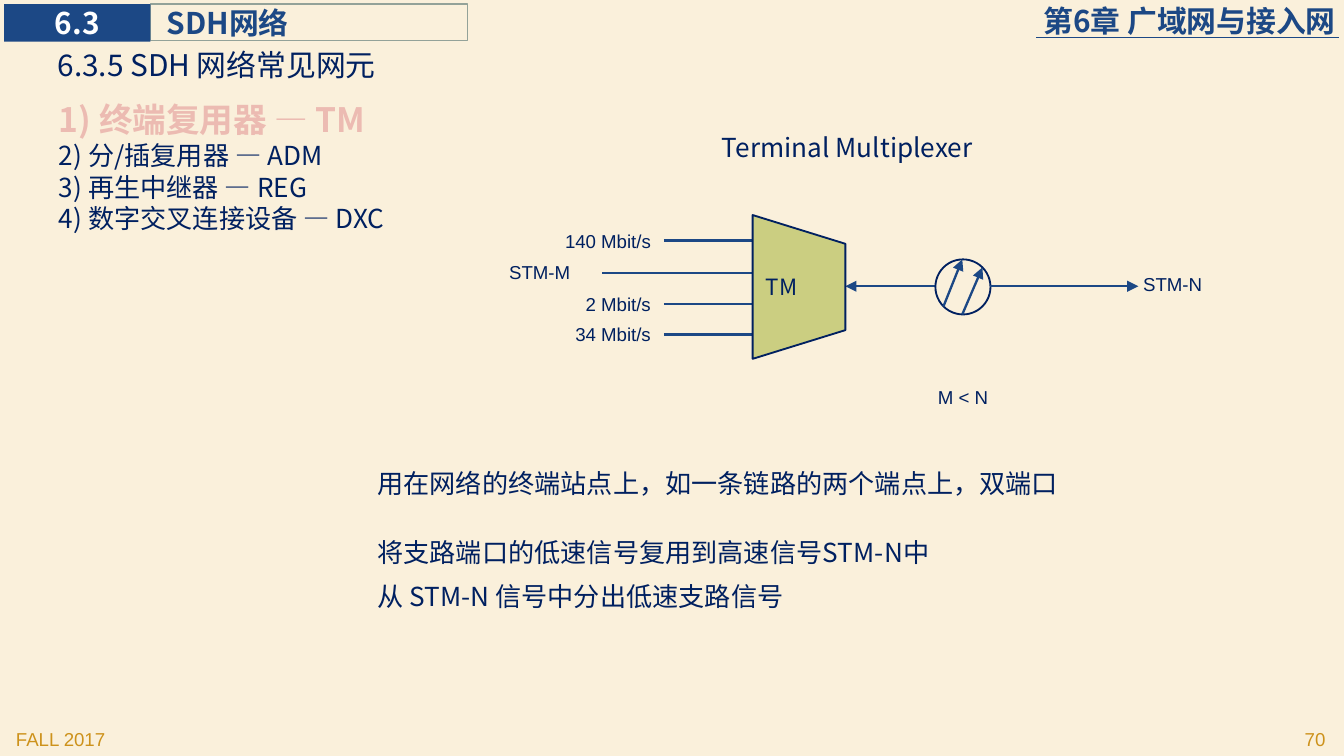
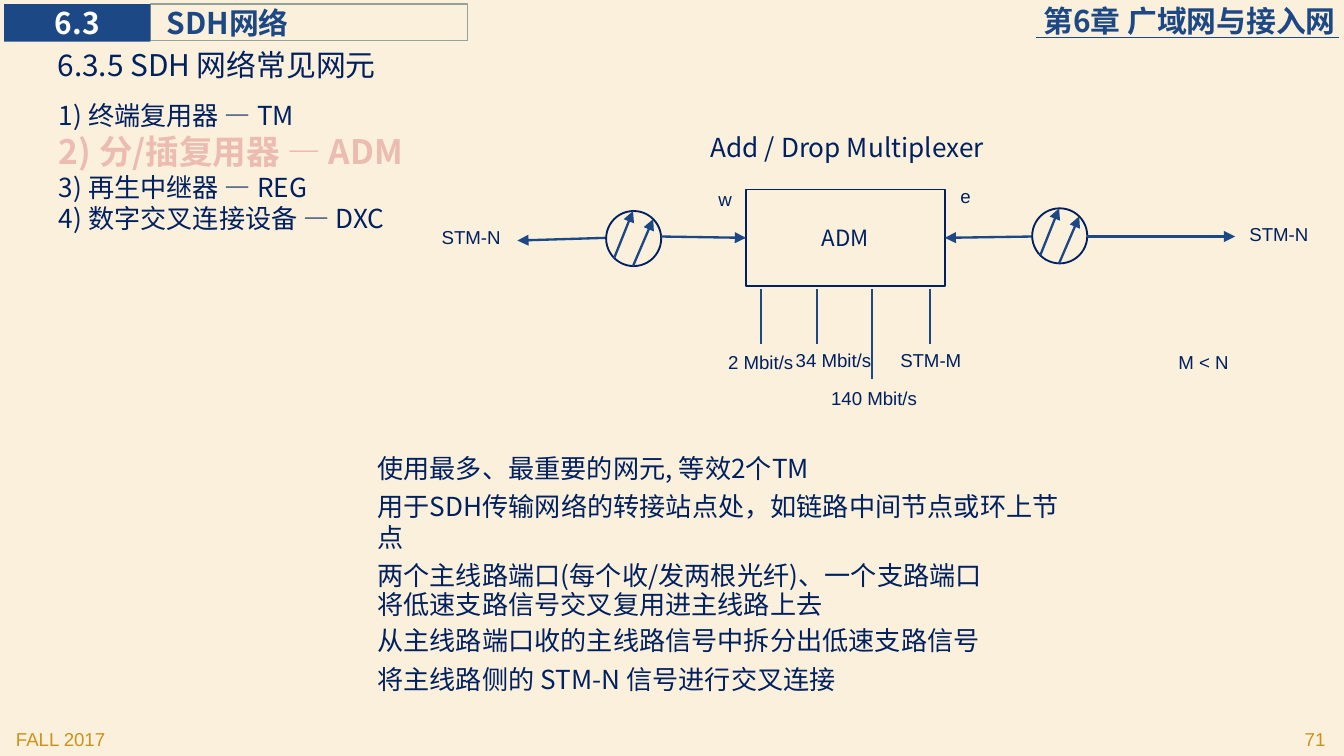
from lxml import etree
from pptx import Presentation
from pptx.dml.color import RGBColor
from pptx.enum import shapes, text
from pptx.oxml import ns
from pptx.util import Inches, Pt

BLUE = RGBColor(0x1C, 0x48, 0x85)
NAVY = RGBColor(0x00, 0x20, 0x60)
CREAM = RGBColor(0xFA, 0xF0, 0xDB)
GOLD = RGBColor(0xCD, 0x92, 0x1B)
GRAY = RGBColor(0x93, 0xA2, 0x99)
OLIVE = RGBColor(0xCB, 0xCE, 0x81)
PINK = RGBColor(0xEC, 0xBB, 0xB2)
RED = RGBColor(0xCF, 0x54, 0x3F)
WHITE = RGBColor(0xFF, 0xFF, 0xFF)
CJK, LATIN = "Noto Sans CJK SC", "Arial"
LEFT, CENTER, RIGHT = text.PP_ALIGN.LEFT, text.PP_ALIGN.CENTER, text.PP_ALIGN.RIGHT
SHAPE = shapes.MSO_SHAPE
LINE_HEIGHT = 1.2  # line pitch of the CJK font, in ems

# ---- Content ----
CHAPTER = "第6章 广域网与接入网"
SECTION = ("6.3", "SDH网络")
HEADING = "6.3.5 SDH 网络常见网元"
TERM = "FALL 2017"
ELEMENTS = ["1) 终端复用器 — TM", "2) 分/插复用器 — ADM",
            "3) 再生中继器 — REG", "4) 数字交叉连接设备 — DXC"]

# Notes: (top, width, wording); labels: (left, top, width, align, wording)
TM_SLIDE = {
    "page": "70", "current": 0, "caption": "Terminal Multiplexer",
    "notes": [(3.43, 5.45, "用在网络的终端站点上，如一条链路的两个端点上，双端口"),
              (3.94, 5.45, "将支路端口的低速信号复用到高速信号STM-N中"),
              (4.27, 5.45, "从 STM-N 信号中分出低速支路信号")],
    "labels": [(8.38, 1.98, 0.69, CENTER, "STM-N"),
               (3.67, 1.89, 0.69, CENTER, "STM-M"),
               (4.02, 1.66, 0.92, RIGHT, "140 Mbit/s"),
               (4.02, 2.13, 0.92, RIGHT, "2 Mbit/s"),
               (4.02, 2.35, 0.92, RIGHT, "34 Mbit/s"),
               (6.82, 2.82, 0.69, CENTER, "M < N")],
}
ADM_SLIDE = {
    "page": "71", "current": 1, "caption": "Add / Drop Multiplexer",
    "notes": [(3.32, 4.21, "使用最多、最重要的网元, 等效2个TM"),
              (3.6, 5.45, "用于SDH传输网络的转接站点处，如链路中间节点或环上节点"),
              (4.11, 5.45, "两个主线路端口(每个收/发两根光纤)、一个支路端口"),
              (4.33, 5.45, "将低速支路信号交叉复用进主线路上去"),
              (4.6, 5.45, "从主线路端口收的主线路信号中拆分出低速支路信号"),
              (4.89, 5.45, "将主线路侧的 STM-N 信号进行交叉连接")],
    "labels": [(9.17, 1.61, 0.69, CENTER, "STM-N"),
               (3.16, 1.63, 0.69, CENTER, "STM-N"),
               (5.24, 1.35, 0.31, CENTER, "w"),
               (7.03, 1.33, 0.31, CENTER, "e"),
               (6, 2.83, 0.92, RIGHT, "140 Mbit/s"),
               (5.08, 2.56, 0.92, RIGHT, "2 Mbit/s"),
               (5.66, 2.55, 0.92, RIGHT, "34 Mbit/s"),
               (6.58, 2.55, 0.69, CENTER, "STM-M"),
               (8.61, 2.56, 0.69, CENTER, "M < N")],
}
TM_TRIBUTARIES = [(4.94, 1.79), (4.48, 2.03), (4.94, 2.26), (4.94, 2.49)]
ADM_TRIBUTARIES = [(5.66, 2.56), (6.08, 2.56), (6.49, 2.82), (6.92, 2.56)]


# ---- Drawing helpers ----
def outline_run(run, color, width):
    """Give the letters of a run an outline."""
    ln = etree.Element(ns.qn("a:ln"), w=str(Pt(width)))
    fill = etree.SubElement(ln, ns.qn("a:solidFill"))
    etree.SubElement(fill, ns.qn("a:srgbClr"), val=str(color))
    run.font._element.insert(0, ln)


def write(paragraph, wording, size, color=NAVY, font=CJK, bold=False, align=LEFT):
    paragraph.alignment = align
    if font == CJK:
        paragraph.line_spacing = Pt(size * LINE_HEIGHT)
    run = paragraph.add_run()
    run.text = wording
    for key, value in {"size": Pt(size), "name": font, "bold": bold}.items():
        setattr(run.font, key, value)
    run.font.color.rgb = color
    if font == CJK:
        etree.SubElement(run.font._element, ns.qn("a:ea"), typeface=font)
    return run


def set_frame(frame, insets=None, anchor=text.MSO_ANCHOR.TOP):
    frame.word_wrap = True
    frame.vertical_anchor = anchor
    for side, inset in zip(("left", "top", "right", "bottom"), insets or ()):
        setattr(frame, f"margin_{side}", Inches(inset))


def add_text(slide, box, wording, size, insets=None, anchor=text.MSO_ANCHOR.TOP, **style):
    frame = slide.shapes.add_textbox(*map(Inches, box)).text_frame
    set_frame(frame, insets, anchor)
    write(frame.paragraphs[0], wording, size, **style)


def add_block(slide, kind, box, fill=None, line=NAVY, width=1):
    block = slide.shapes.add_shape(kind, *map(Inches, box))
    block.shadow.inherit = False
    if fill is None:
        block.fill.background()
    else:
        block.fill.solid()
        block.fill.fore_color.rgb = fill
    if line is None:
        block.line.fill.background()
    else:
        block.line.color.rgb = line
        block.line.width = Pt(width)
    return block


def label_block(block, wording, size, insets=None, **style):
    set_frame(block.text_frame, insets, text.MSO_ANCHOR.MIDDLE)
    write(block.text_frame.paragraphs[0], wording, size, **style)


def add_line(slide, start, end, arrow=None, width=1.25):
    """Draw a line; arrow is "headEnd" (at start) or "tailEnd" (at end)."""
    line = slide.shapes.add_connector(shapes.MSO_CONNECTOR.STRAIGHT,
                                      *map(Inches, (*start, *end)))
    line.line.color.rgb = BLUE
    line.line.width = Pt(width)
    if arrow:
        etree.SubElement(line.line._get_or_add_ln(), ns.qn(f"a:{arrow}"), type="triangle")
    etree.SubElement(line._element.spPr, ns.qn("a:effectLst"))


def add_optical_port(slide, x, y):
    """Circle crossed by two parallel slanted arrows."""
    add_block(slide, SHAPE.OVAL, (x, y, 0.41, 0.41))
    for (x1, y1), (x2, y2) in (((0.06, 0.35), (0.2, 0)), ((0.2, 0.41), (0.35, 0.06))):
        add_line(slide, (x + x1, y + y1), (x + x2, y + y2), "tailEnd")


# ---- Shared parts of the slides ----
def add_frame(slide, content):
    # Chapter title and rule
    add_text(slide, (6.18, 0.02, 3.76, 0.27), CHAPTER, 16, (0, 0, 0, 0),
             text.MSO_ANCHOR.MIDDLE, color=BLUE, bold=True, align=RIGHT)
    add_line(slide, (7.71, 0.28), (9.96, 0.28), width=0.5)

    # Footer
    for left, wording, align in ((0.02, TERM, LEFT), (7.88, content["page"], RIGHT)):
        add_text(slide, (left, 5.37, 2.08, 0.23), wording, 10,
                 color=GOLD, font=LATIN, align=align)

    # Section band
    number, title = SECTION
    band = add_block(slide, SHAPE.RECTANGLE, (1.12, 0.03, 2.36, 0.27), line=GRAY, width=0.75)
    label_block(band, title, 16, (0.12, 0, 0, 0), color=BLUE, bold=True)
    tab = add_block(slide, SHAPE.RECTANGLE, (0.03, 0.03, 1.09, 0.28), BLUE, None)
    label_block(tab, number, 16, (0, 0, 0, 0), color=WHITE, bold=True, align=CENTER)

    # Heading and list of elements, the current one standing out
    add_text(slide, (0.33, 0.3, 5.1, 0.37), HEADING, 16)
    frame = slide.shapes.add_textbox(*map(Inches, (0.34, 0.69, 3.13, 1.11))).text_frame
    set_frame(frame)
    for index, element in enumerate(ELEMENTS):
        paragraph = frame.add_paragraph() if index else frame.paragraphs[0]
        if index == content["current"]:
            outline_run(write(paragraph, element, 18, PINK, bold=True), RED, 1.75)
        else:
            write(paragraph, element, 14)


def add_wording(slide, content):
    for left, top, width, align, wording in content["labels"]:
        add_text(slide, (left, top, width, 0.27), wording, 10, font=LATIN, align=align)
    add_text(slide, (5.06, 0.93, 2.49, 0.34), content["caption"], 14, align=CENTER)
    for top, width, wording in content["notes"]:
        add_text(slide, (2.71, top, width, 0.34), wording, 14)


# ---- Diagrams ----
def draw_tm(slide):
    for left, y in TM_TRIBUTARIES:
        add_line(slide, (left, y), (5.92, y))
    add_line(slide, (6.29, 2.13), (6.96, 2.13), "headEnd")
    multiplexer = add_block(slide, SHAPE.FLOWCHART_MANUAL_OPERATION,
                            (5.41, 1.79, 1.07, 0.69), OLIVE)
    multiplexer.rotation = 270
    label_block(multiplexer, "TM", 12, align=CENTER)
    multiplexer.text_frame.paragraphs[0].line_spacing = None
    multiplexer.text_frame._txBody.bodyPr.set("vert", "eaVert")
    add_optical_port(slide, 6.96, 1.93)
    add_line(slide, (7.37, 2.13), (8.47, 2.13), "tailEnd")


def draw_adm(slide):
    multiplexer = add_block(slide, SHAPE.RECTANGLE, (5.55, 1.41, 1.48, 0.72))
    label_block(multiplexer, "ADM", 12, align=CENTER)
    # East side
    add_line(slide, (7.03, 1.77), (7.68, 1.76), "headEnd")
    add_optical_port(slide, 7.68, 1.55)
    add_line(slide, (8.09, 1.76), (9.19, 1.76), "tailEnd")
    # West side
    add_line(slide, (3.85, 1.79), (4.51, 1.77), "headEnd")
    add_optical_port(slide, 4.51, 1.57)
    add_line(slide, (4.92, 1.76), (5.55, 1.77), "tailEnd")
    for x, bottom in ADM_TRIBUTARIES:
        add_line(slide, (x, 2.15), (x, bottom))


def main():
    deck = Presentation()
    deck.slide_width = Inches(10)
    deck.slide_height = Inches(10) * 9 // 16
    for content, draw in ((TM_SLIDE, draw_tm), (ADM_SLIDE, draw_adm)):
        slide = deck.slides.add_slide(deck.slide_layouts[6])
        slide.background.fill.solid()
        slide.background.fill.fore_color.rgb = CREAM
        add_frame(slide, content)
        draw(slide)
        add_wording(slide, content)
    deck.save("out.pptx")


if __name__ == "__main__":
    main()
